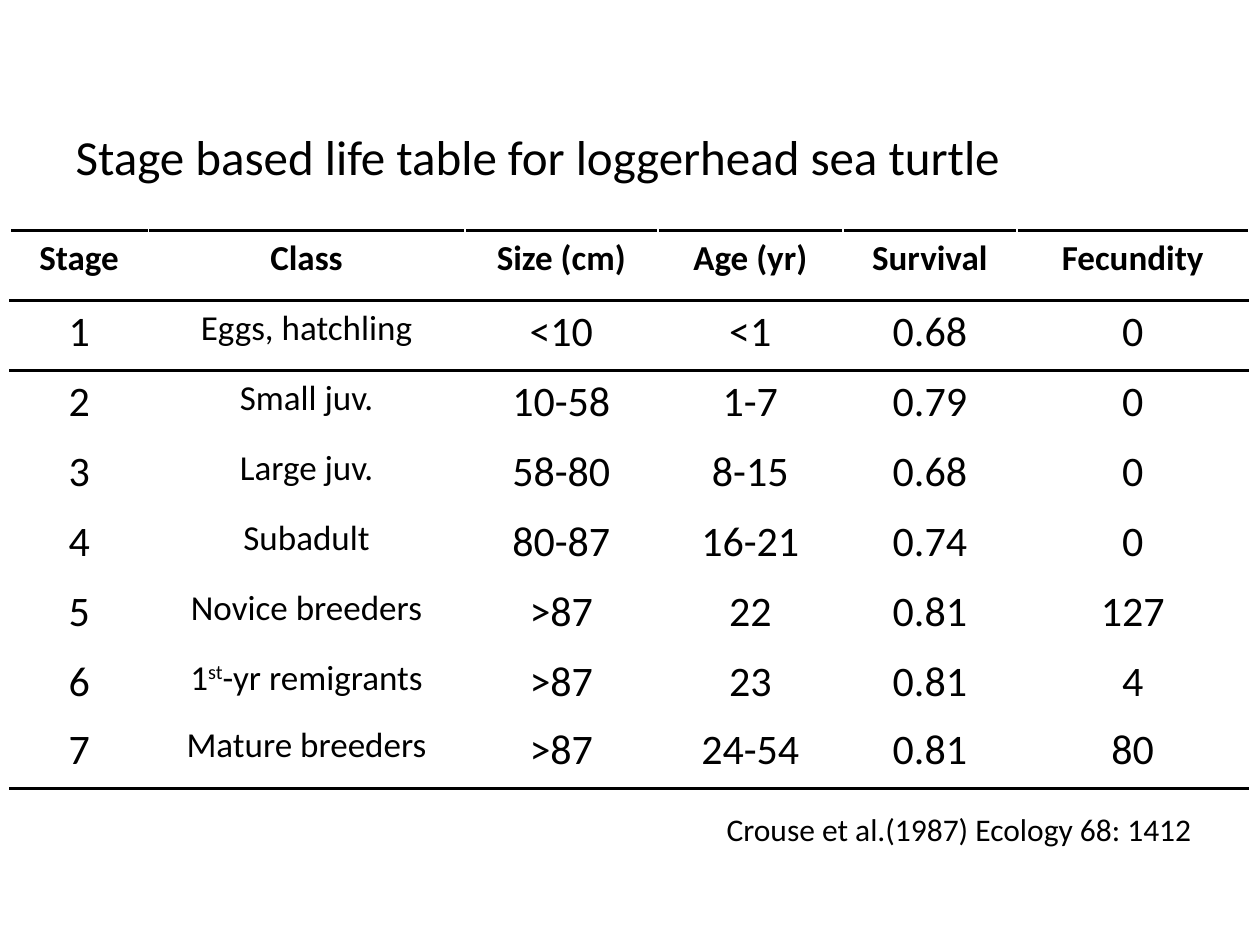
"""Build a slide with the stage based life table for the loggerhead sea turtle."""
import lxml.etree
import pptx
import pptx.dml.color
import pptx.enum.text
import pptx.oxml.ns
import pptx.util
from pptx.util import Cm

BLACK = "000000"
HEADER = ["Stage", "Class", "Size (cm)", "Age (yr)", "Survival", "Fecundity"]
STAGES = [
    ["1", "Eggs, hatchling", "<10", "<1", "0.68", "0"],
    ["2", "Small juv.", "10-58", "1-7", "0.79", "0"],
    ["3", "Large juv.", "58-80", "8-15", "0.68", "0"],
    ["4", "Subadult", "80-87", "16-21", "0.74", "0"],
    ["5", "Novice breeders", ">87", "22", "0.81", "127"],
    ["6", "1^st^-yr remigrants", ">87", "23", "0.81", "4"],
    ["7", "Mature breeders", ">87", "24-54", "0.81", "80"],
]
COLUMN_WIDTHS = [2.79, 6.38, 3.89, 3.73, 3.51, 4.67]
ROW_HEIGHTS = [1.41] * 6 + [1.37] + [1.41] * 2
ROW_HEIGHTS = [1.37 if row == 6 else 1.41 for row in range(len(STAGES) + 1)]


def format_run(run, size, bold=False):
    run.font.name = "Calibri"
    run.font.size = pptx.util.Pt(size)
    run.font.bold = bold
    run.font.color.rgb = pptx.dml.color.RGBColor.from_string(BLACK)


def add_rule(cell, edge):
    line = lxml.etree.SubElement(
        cell._tc.get_or_add_tcPr(), pptx.oxml.ns.qn(f"a:{edge}"), w=str(pptx.util.Pt(2.25))
    )
    fill = lxml.etree.SubElement(line, pptx.oxml.ns.qn("a:solidFill"))
    lxml.etree.SubElement(fill, pptx.oxml.ns.qn("a:srgbClr"), val=BLACK)


presentation = pptx.Presentation()
presentation.slide_width = Cm(25.4)
presentation.slide_height = Cm(19.05)
slide = presentation.slides.add_slide(presentation.slide_layouts[5])

title = slide.shapes.title
title.left, title.top, title.width, title.height = Cm(1.27), Cm(2.41), Cm(21.54), Cm(1.45)
title.text_frame.text = "Stage based life table for loggerhead sea turtle"
title.text_frame.paragraphs[0].alignment = pptx.enum.text.PP_ALIGN.LEFT
format_run(title.text_frame.paragraphs[0].runs[0], 28)

rows = [HEADER] + STAGES
table = slide.shapes.add_table(
    len(rows), len(HEADER), Cm(0.2), Cm(4.65), Cm(sum(COLUMN_WIDTHS)), Cm(sum(ROW_HEIGHTS))
).table
table.first_row = False
table.horz_banding = False
for column, width in zip(table.columns, COLUMN_WIDTHS):
    column.width = Cm(width)
for row, height in zip(table.rows, ROW_HEIGHTS):
    row.height = Cm(height)

for row_index, values in enumerate(rows):
    for column_index, value in enumerate(values):
        cell = table.cell(row_index, column_index)
        paragraph = cell.text_frame.paragraphs[0]
        paragraph.alignment = pptx.enum.text.PP_ALIGN.CENTER
        is_header = row_index == 0
        size = 20 if is_header or column_index == 1 else 24
        for part_index, part in enumerate(value.split("^")):
            run = paragraph.add_run()
            run.text = part
            format_run(run, size, is_header)
            if part_index == 1:
                run.font._element.set("baseline", "30000")
        if row_index <= 1:
            add_rule(cell, "lnT")
        if row_index in (0, len(rows) - 1):
            add_rule(cell, "lnB")
        cell.fill.background()

citation = slide.shapes.add_textbox(Cm(14.4), Cm(16.21), Cm(11.33), Cm(1.02))
citation.text_frame.text = "Crouse et al.(1987) Ecology 68: 1412"
citation.text_frame.word_wrap = True
format_run(citation.text_frame.paragraphs[0].runs[0], 18)

presentation.save("out.pptx")
